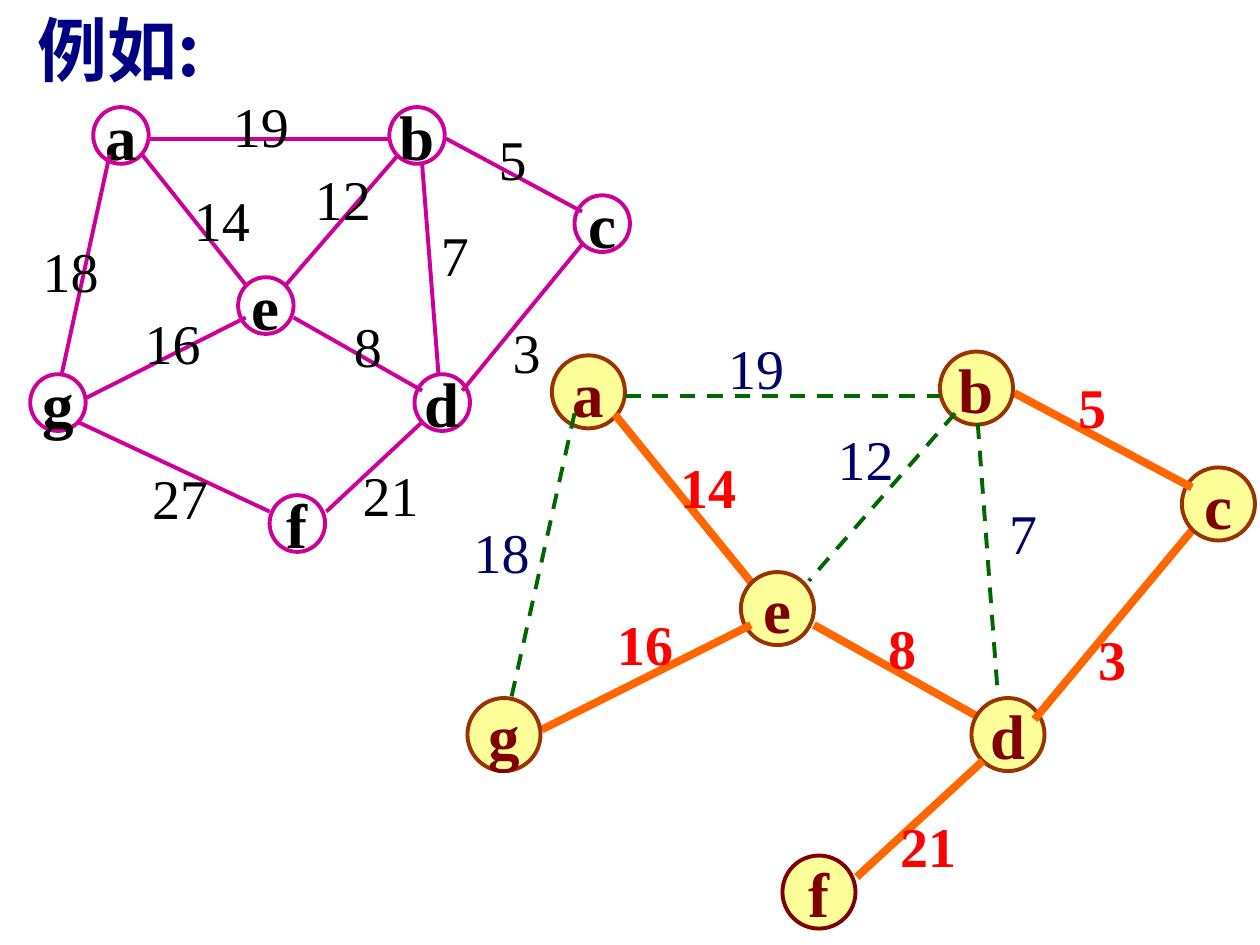
from pptx import Presentation
from pptx.dml.color import RGBColor
from pptx.enum import dml, shapes, text
from pptx.oxml.ns import qn
from pptx.util import Inches, Pt
from lxml import etree

TITLE = "例如:"
THEME = {
    "title": {"font": "Noto Sans CJK SC", "size": 40, "color": "000082", "bold": True},
    "graph_node": {"font": "Times New Roman", "size": 36, "color": "000000", "bold": True},
    "tree_node": {"font": "Times New Roman", "size": 36, "color": "800000", "bold": True},
    "weight": {"font": "Times New Roman", "size": 32, "color": "000000", "bold": False},
    "kept": {"font": "Times New Roman", "size": 32, "color": "FF0000", "bold": True},
    "dropped": {"font": "Times New Roman", "size": 32, "color": "000066", "bold": False},
    "graph_line": ("CC0099", 2.25, None),
    "kept_line": ("FF6600", 4.5, None),
    "dropped_line": ("006600", 2.25, dml.MSO_LINE.DASH),
    "graph_circle": {"size": (0.44, 0.45), "fill": "FFFFFF", "line": "CC0099"},
    "tree_circle": {"size": (0.58, 0.58), "fill": "FFFF99", "line": "993300"},
    "last_circle": {"size": (0.58, 0.58), "fill": "FFFF99", "line": "800000"},
}

# Nodes: name, left, top. Edges: x1, y1, x2, y2. Weights: value, left, top.
GRAPH_NODES = [("a", 0.74, 0.85), ("b", 3.09, 0.85), ("c", 4.56, 1.55), ("d", 3.29, 2.97),
               ("e", 1.89, 2.2), ("g", 0.24, 2.97), ("f", 2.14, 3.93)]
GRAPH_EDGES = [
    (1.19, 1.1, 3.09, 1.1), (1.13, 1.23, 1.95, 2.26), (3.16, 1.23, 2.27, 2.26),
    (0.87, 1.23, 0.49, 2.97), (0.68, 3.16, 1.95, 2.52), (2.33, 2.52, 3.35, 3.1),
    (3.54, 1.1, 4.62, 1.68), (4.62, 1.94, 3.67, 3.1), (3.35, 1.3, 3.48, 2.97),
    (0.62, 3.35, 2.14, 4.06), (3.35, 3.35, 2.59, 4.06)]
GRAPH_WEIGHTS = [
    (19, 1.75, 0.68), (5, 3.86, 0.94), (14, 1.44, 1.42), (18, 0.24, 1.83),
    (27, 1.11, 3.63), (16, 1.05, 2.4), (8, 2.71, 2.42), (21, 2.78, 3.61),
    (3, 3.97, 2.47), (12, 2.4, 1.26), (7, 3.4, 1.7)]

# Each tree node is followed by the edge painted between it and the next node.
TREE_STEPS = [
    (("a", 4.38, 2.82), (4.88, 3.29, 5.96, 4.62)),
    (("e", 5.88, 4.54), (6.46, 4.96, 7.8, 5.71)),
    (("d", 7.71, 5.54), (9.46, 4.21, 8.21, 5.71)),
    (("c", 9.38, 3.71), (8.05, 3.12, 9.46, 3.87)),
    (("b", 7.46, 2.79), (4.3, 5.79, 5.96, 4.96)),
    (("g", 3.71, 5.54), (7.8, 6.04, 6.8, 6.96))]
LAST_NODE = ("f", 6.21, 6.79)
KEPT_WEIGHTS = [(14, 5.3, 3.54), (8, 6.95, 4.82), (5, 8.46, 2.91),
                (3, 8.62, 4.91), (16, 4.8, 4.79), (21, 7.05, 6.39)]
DROPPED_EDGES = [(7.76, 3.36, 7.92, 5.52), (7.58, 3.28, 6.42, 4.61),
                 (4.56, 3.28, 4.06, 5.53), (4.96, 3.14, 7.46, 3.14)]
DROPPED_WEIGHTS = [(7, 7.91, 3.91), (12, 6.55, 3.32), (18, 3.66, 4.06), (19, 5.68, 2.6)]


def rgb(value):
    return RGBColor.from_string(value)


def write(sp, value, style, anchor, align):
    tf = sp.text_frame
    tf.word_wrap = False
    tf.vertical_anchor = anchor
    p = tf.paragraphs[0]
    r = p.add_run()
    r.text = str(value)
    p.alignment = align
    look = THEME[style]
    font = p.font
    font.name, font.size, font.bold = look["font"], Pt(look["size"]), look["bold"]
    font.color.rgb = rgb(look["color"])
    return r


def add_node(parent, node, circle, style):
    name, x, y = node
    look = THEME[circle]
    sp = parent.add_shape(shapes.MSO_SHAPE.OVAL, Inches(x), Inches(y),
                          *map(Inches, look["size"]))
    sp.shadow.inherit = False
    sp.fill.solid()
    sp.fill.fore_color.rgb = rgb(look["fill"])
    sp.line.color.rgb = rgb(look["line"])
    sp.line.width = Pt(2.25)
    write(sp, name, style, text.MSO_ANCHOR.MIDDLE, text.PP_ALIGN.CENTER)


def add_edge(parent, ends, style):
    color, width, dash = THEME[style]
    line = parent.add_connector(shapes.MSO_CONNECTOR.STRAIGHT, *map(Inches, ends))
    line.line.color.rgb = rgb(color)
    line.line.width = Pt(width)
    if dash:
        line.line.dash_style = dash
    etree.SubElement(line._element.spPr, qn("a:effectLst"))


def add_weight(parent, weight, style):
    value, x, y = weight
    width = 0.19 + 0.23 * len(str(value))
    sp = parent.add_textbox(Inches(x), Inches(y), Inches(width), Inches(0.63))
    write(sp, value, style, text.MSO_ANCHOR.TOP, text.PP_ALIGN.LEFT)
    sp.text_frame.auto_size = text.MSO_AUTO_SIZE.SHAPE_TO_FIT_TEXT


def add_title(slide):
    sp = slide.shapes.title
    sp.left, sp.top, sp.width, sp.height = map(Inches, (0.2, 0, 1.6, 0.77))
    r = write(sp, TITLE, "title", text.MSO_ANCHOR.TOP, text.PP_ALIGN.LEFT)
    sp.text_frame.auto_size = text.MSO_AUTO_SIZE.NONE
    east_asian = etree.SubElement(r._r.get_or_add_rPr(), qn("a:ea"))
    east_asian.set("typeface", THEME["title"]["font"])


def add_tree(parent):
    for node, edge in TREE_STEPS:
        add_node(parent, node, "tree_circle", "tree_node")
        add_edge(parent, edge, "kept_line")
    add_node(parent, LAST_NODE, "last_circle", "tree_node")
    for weight in KEPT_WEIGHTS:
        add_weight(parent, weight, "kept")
    for edge in DROPPED_EDGES:
        add_edge(parent, edge, "dropped_line")
    for weight in DROPPED_WEIGHTS:
        add_weight(parent, weight, "dropped")


def add_graph(parent):
    for node in GRAPH_NODES:
        add_node(parent, node, "graph_circle", "graph_node")
    for edge in GRAPH_EDGES:
        add_edge(parent, edge, "graph_line")
    for weight in GRAPH_WEIGHTS:
        add_weight(parent, weight, "weight")


def main():
    prs = Presentation()
    prs.slide_width, prs.slide_height = Inches(10), Inches(7.5)
    slide = prs.slides.add_slide(prs.slide_layouts[5])
    add_title(slide)
    add_tree(slide.shapes)
    add_graph(slide.shapes.add_group_shape().shapes)
    prs.save("out.pptx")


if __name__ == "__main__":
    main()
